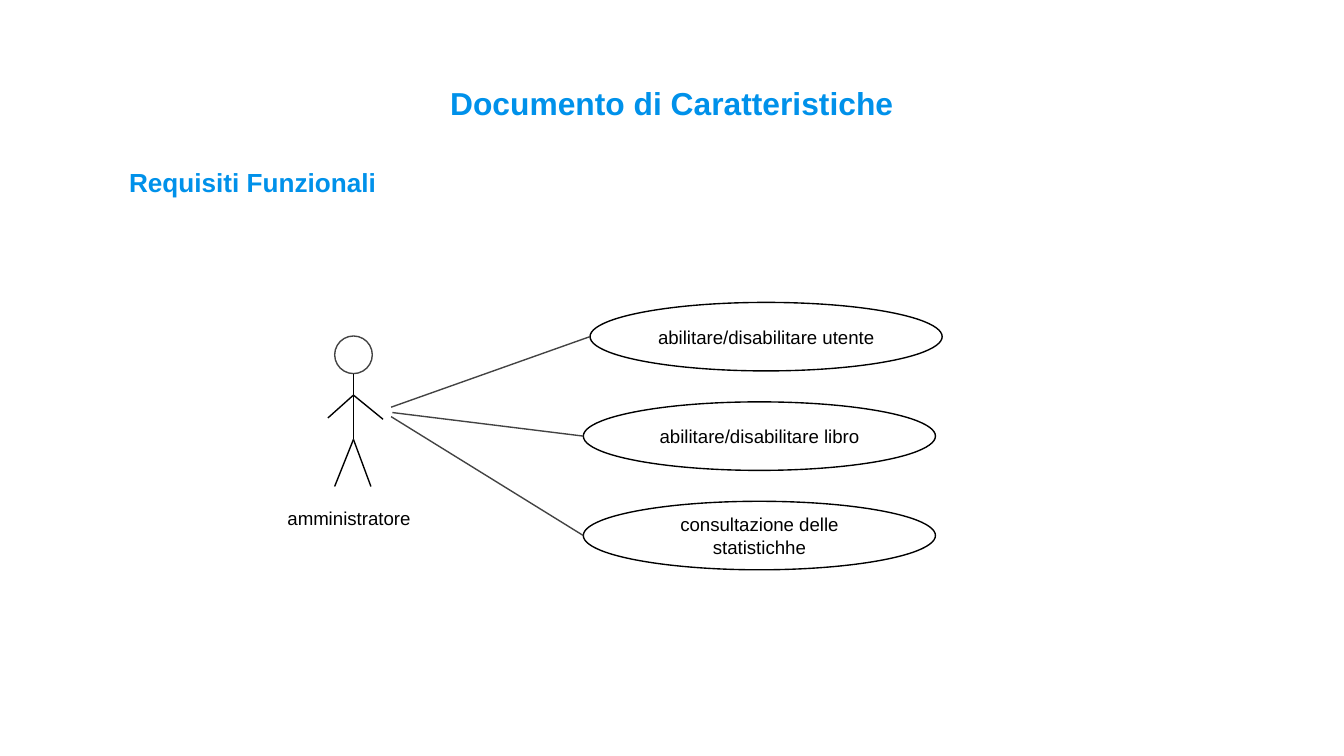
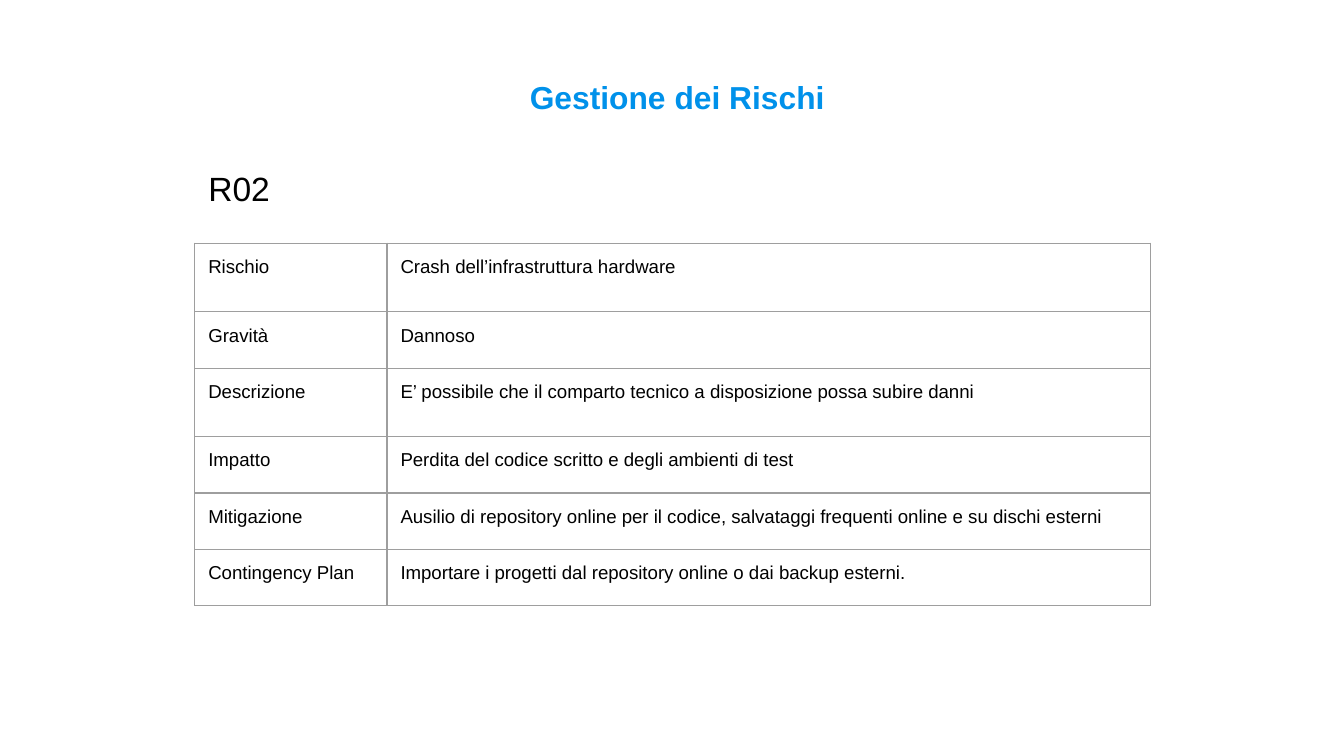
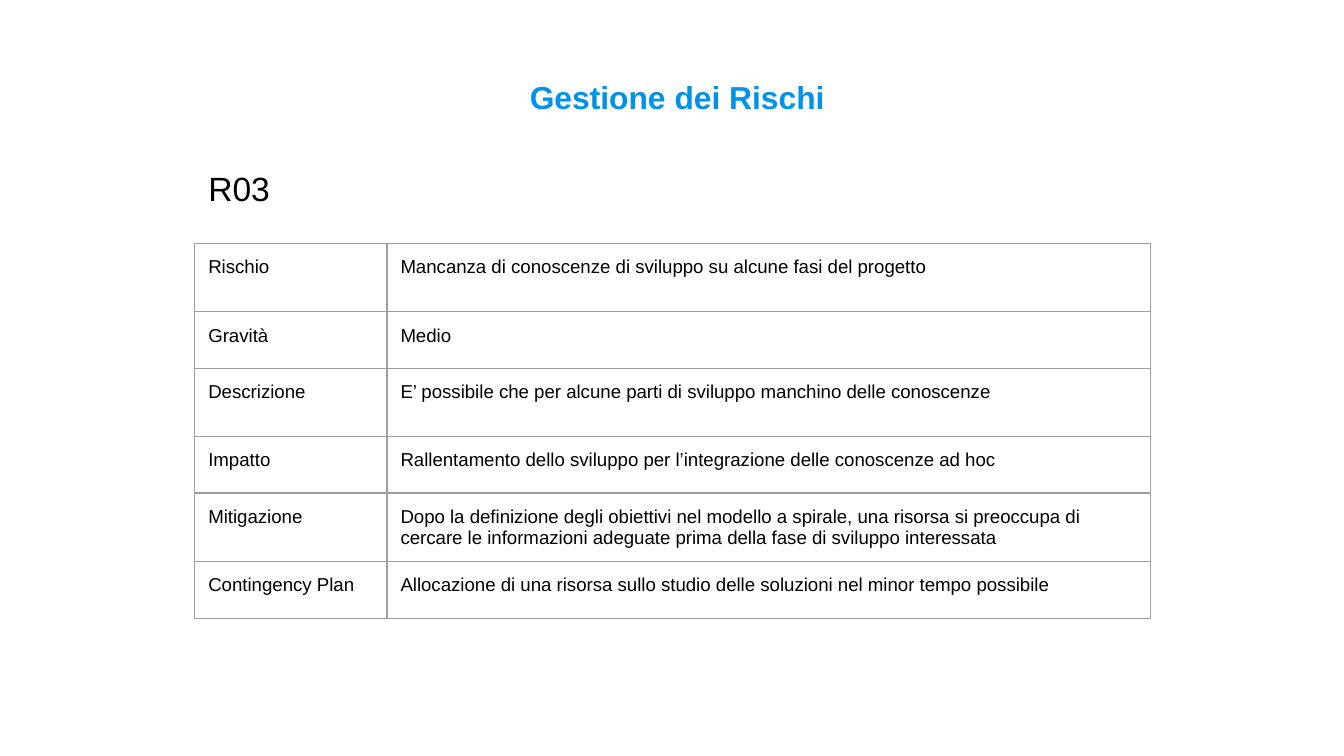
from dataclasses import dataclass

from lxml import etree
from pptx import Presentation
from pptx.dml.color import RGBColor
from pptx.enum.shapes import MSO_CONNECTOR, MSO_SHAPE
from pptx.enum.text import MSO_ANCHOR, MSO_AUTO_SIZE, PP_ALIGN
from pptx.oxml.ns import qn
from pptx.util import Inches, Pt

OVAL = MSO_SHAPE.OVAL
STRAIGHT = MSO_CONNECTOR.STRAIGHT
TOP, MIDDLE = MSO_ANCHOR.TOP, MSO_ANCHOR.MIDDLE
LEFT, CENTER = PP_ALIGN.LEFT, PP_ALIGN.CENTER
FIXED = MSO_AUTO_SIZE.NONE


@dataclass(frozen=True)
class Theme:
    """Colours, type sizes and line width of the deck."""
    font: str = "Arial"
    blue: str = "0091EA"
    black: str = "000000"
    gray: str = "434343"
    grid: str = "9E9E9E"
    title: int = 17
    head: int = 14
    code: int = 18
    body: int = 10
    line: float = 0.75
    pad: float = 0.1


THEME = Theme()

CASES = [
    (4.39, "abilitare/disabilitare utente", (2.91, 3.03)),
    (4.34, "abilitare/disabilitare libro", (2.92, 3.07)),
    (4.34, "consultazione delle statistichhe", (2.91, 3.10)),
]
FIELDS = ["Rischio", "Gravità", "Descrizione", "Impatto", "Mitigazione", "Contingency Plan"]
LOW, HIGH = 0.42, 0.51
RISKS = [
    ("R02", [
        "Crash dell’infrastruttura hardware",
        "Dannoso",
        "E’ possibile che il comparto tecnico a disposizione possa subire danni",
        "Perdita del codice scritto e degli ambienti di test",
        "Ausilio di repository online per il codice, salvataggi frequenti online e su dischi esterni",
        "Importare i progetti dal repository online o dai backup esterni.",
    ], (HIGH, LOW, HIGH, LOW, LOW, LOW)),
    ("R03", [
        "Mancanza di conoscenze di sviluppo su alcune fasi del progetto",
        "Medio",
        "E’ possibile che per alcune parti di sviluppo manchino delle conoscenze",
        "Rallentamento dello sviluppo per l’integrazione delle conoscenze ad hoc",
        "Dopo la definizione degli obiettivi nel modello a spirale, una risorsa si preoccupa di "
        "cercare le informazioni adeguate prima della fase di sviluppo interessata",
        "Allocazione di una risorsa sullo studio delle soluzioni nel minor tempo possibile",
    ], (HIGH, LOW, HIGH, LOW, HIGH, LOW)),
]


def style(para, size, color=THEME.black, bold=False, align=LEFT):
    """Format a paragraph and its runs."""
    para.alignment = align
    for run in para.runs:
        font = run.font
        font.name, font.size, font.bold = THEME.font, Pt(size), bold
        font.color.rgb = RGBColor.from_string(color)


def inset(frame, top=THEME.pad):
    """Set the inner margins of a text frame or a table cell."""
    frame.margin_left = frame.margin_right = frame.margin_bottom = Inches(THEME.pad)
    frame.margin_top = Inches(top)


def stroke(line, color):
    """Give an outline its colour and the common width."""
    line.color.rgb = RGBColor.from_string(color)
    line.width = Pt(THEME.line)


def link(shapes, start, end, color):
    """Draw a plain straight line between two points."""
    wire = shapes.add_connector(STRAIGHT, *(Inches(v) for v in (*start, *end)))
    stroke(wire.line, color)
    etree.SubElement(wire._element.spPr, qn("a:effectLst"))


def oval(shapes, box, color):
    """Draw an unfilled ellipse."""
    shape = shapes.add_shape(OVAL, *(Inches(v) for v in box))
    shape.shadow.inherit = False
    shape.fill.background()
    stroke(shape.line, color)
    return shape


def heading(slide, left, top, title, sub, gap):
    """Fill the title placeholder with a title and a subheading, and return the latter."""
    shape = slide.shapes.title
    shape.left, shape.top = Inches(left), Inches(top)
    shape.width, shape.height = Inches(8.28), Inches(4.91)
    frame = shape.text_frame
    frame.text = f"{title}\n{sub}"
    frame.auto_size, frame.vertical_anchor = FIXED, TOP
    inset(frame, 0.26)
    first, second = frame.paragraphs
    for para in (first, second):
        para.line_spacing = 1.0
        para.space_before = para.space_after = Pt(0)
    style(first, THEME.title, THEME.blue, True, CENTER)
    second.space_before = Pt(gap)
    return second


def actor(slide, left, top, name):
    """Draw a stick figure with its name below."""
    group = slide.shapes.add_group_shape().shapes
    oval(group, (left + 0.05, top, 0.28, 0.28), THEME.gray)
    mid = left + 0.19
    neck, arm, hip = (mid, top + 0.28), (mid, top + 0.44), (mid, top + 0.77)
    limbs = [
        (neck, hip),
        (arm, (left + 0.41, top + 0.62)),
        (arm, (left, top + 0.61)),
        (hip, (left + 0.32, top + 1.12)),
        (hip, (left + 0.05, top + 1.12)),
    ]
    for start, end in limbs:
        link(group, start, end, THEME.black)
    label = slide.shapes.add_textbox(
        Inches(left - 0.4), Inches(top + 1.19), Inches(1.21), Inches(0.32))
    frame = label.text_frame
    frame.word_wrap = True
    inset(frame)
    frame.text = name
    style(frame.paragraphs[0], THEME.body)


def case(slide, box, text, hand):
    """Draw a use case and its line to the actor."""
    left, top, _, height = box
    shape = oval(slide.shapes, box, THEME.black)
    frame = shape.text_frame
    frame.word_wrap, frame.vertical_anchor = True, MIDDLE
    inset(frame)
    frame.text = text
    style(frame.paragraphs[0], THEME.body, align=CENTER)
    link(slide.shapes, (left, top + height / 2), hand, THEME.gray)


def border(cell):
    """Draw the four edges of a table cell."""
    props = cell._tc.get_or_add_tcPr()
    for side in ("lnL", "lnR", "lnT", "lnB"):
        edge = etree.SubElement(props, qn(f"a:{side}"), w=str(Pt(THEME.line)))
        fill = etree.SubElement(edge, qn("a:solidFill"))
        etree.SubElement(fill, qn("a:srgbClr"), val=THEME.grid)


def grid(slide, left, top, widths, heights, rows):
    """Add a bordered table without fills."""
    frame = slide.shapes.add_table(
        len(rows), len(widths), Inches(left), Inches(top),
        Inches(sum(widths)), Inches(sum(heights)))
    table = frame.table
    table.first_row = table.horz_banding = False
    for col, width in zip(table.columns, widths):
        col.width = Inches(width)
    for row, height, texts in zip(table.rows, heights, rows):
        row.height = Inches(height)
        for cell, text in zip(row.cells, texts):
            cell.text = text
            inset(cell)
            style(cell.text_frame.paragraphs[0], THEME.body)
            border(cell)
            cell.fill.background()


def needs(slide):
    """Build the slide with the use case diagram."""
    sub = heading(slide, 0.86, 0.36, "Documento di Caratteristiche", "Requisiti Funzionali", 24)
    style(sub, THEME.head, THEME.blue, True)
    actor(slide, 2.44, 2.5, "amministratore")
    for i, (left, text, hand) in enumerate(CASES):
        case(slide, (left, 2.25 + i * 0.74, 2.62, 0.51), text, hand)


def risk(slide, code, texts, heights):
    """Build a slide that describes one risk."""
    sub = heading(slide, 0.9, 0.32, "Gestione dei Rischi", code, 28)
    style(sub, THEME.code)
    sub._p.get_or_add_pPr().set("marL", str(Inches(0.55)))
    grid(slide, 1.45, 1.81, (1.43, 5.68), heights, list(zip(FIELDS, texts)))


def main():
    """Build and save the deck."""
    deck = Presentation()
    deck.slide_width = Inches(10)
    deck.slide_height = deck.slide_width * 9 // 16
    layout = deck.slide_layouts[5]
    needs(deck.slides.add_slide(layout))
    for code, texts, heights in RISKS:
        risk(deck.slides.add_slide(layout), code, texts, heights)
    deck.save("out.pptx")


if __name__ == "__main__":
    main()
